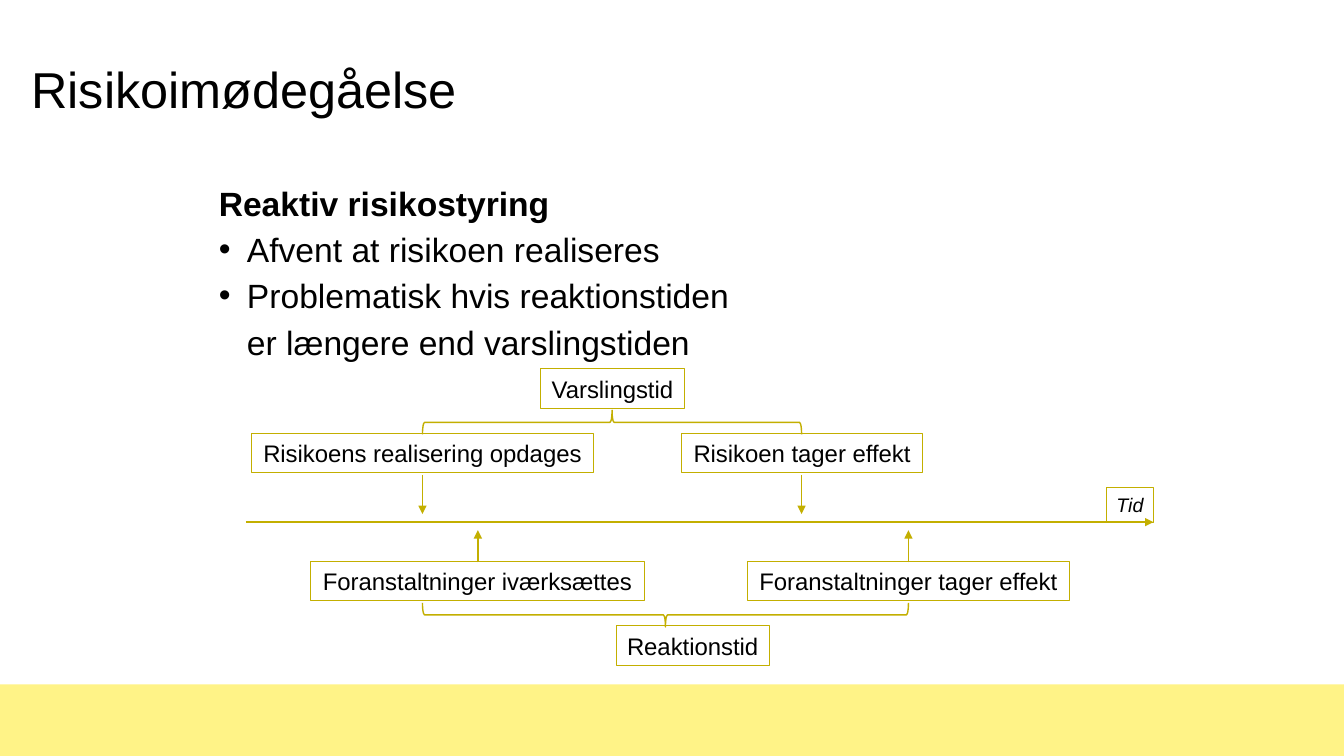
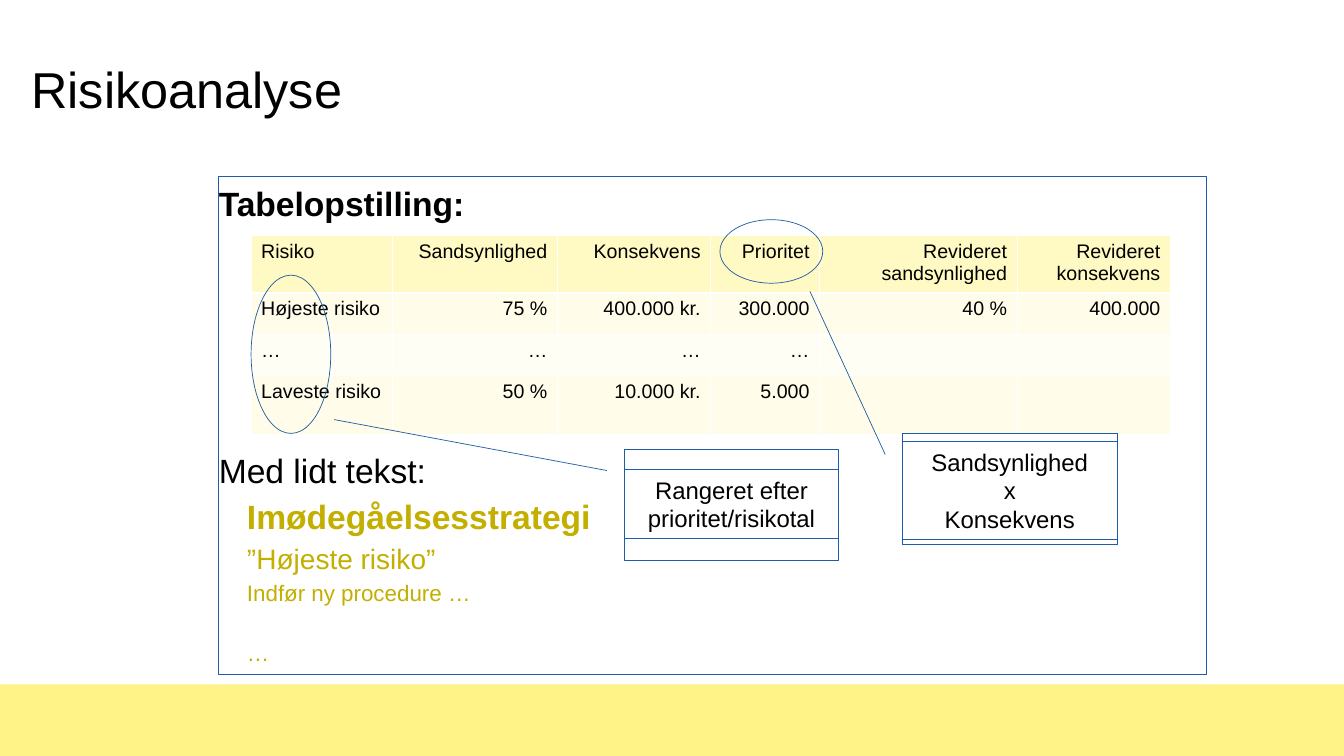
import lxml.etree
import pptx
import pptx.dml.color
import pptx.enum.shapes
import pptx.enum.text
import pptx.oxml.ns
import pptx.util

Inches = pptx.util.Inches
Pt = pptx.util.Pt
RGBColor = pptx.dml.color.RGBColor
SHAPE = pptx.enum.shapes.MSO_SHAPE
ALIGN = pptx.enum.text.PP_ALIGN
ANCHOR = pptx.enum.text.MSO_ANCHOR
AUTO_SIZE = pptx.enum.text.MSO_AUTO_SIZE

BLACK = RGBColor(0x00, 0x00, 0x00)
BAND = RGBColor(0xFF, 0xF3, 0x87)
GOLD = RGBColor(0xC3, 0xAF, 0x00)
BLUE = RGBColor(0x1F, 0x5C, 0xA6)
HEADER = RGBColor(0xFF, 0xF9, 0xC3)
ODD_ROW = RGBColor(0xFF, 0xFD, 0xE9)
EVEN_ROW = RGBColor(0xFF, 0xFE, 0xF5)

FONT = "Arial"
LABEL_SIZE = 17.1
BODY_INDENT = Inches(0.28)
NO_MARGINS = dict.fromkeys(
    ("margin_left", "margin_top", "margin_right", "margin_bottom"), 0)


def apply_formats(target, formats):
    for name, value in formats.items():
        setattr(target, name, value)


def style_paragraph(para, size, color=BLACK, bold=False, italic=False, **formats):
    apply_formats(para, formats)
    for span in para.runs:
        apply_formats(span.font, {
            "name": FONT, "size": Pt(size), "bold": bold, "italic": italic})
        span.font.color.rgb = color


def draw_xml(parent, tag, **attributes):
    element = lxml.etree.SubElement(parent, pptx.oxml.ns.qn(tag))
    for name, value in attributes.items():
        element.set(name, value)


def add_page(deck, title):
    page = deck.slides.add_slide(deck.slide_layouts[5])
    band = page.shapes.add_shape(
        SHAPE.RECTANGLE, 0, Inches(6.79), deck.slide_width, Inches(0.71))
    band.shadow.inherit = False
    band.fill.solid()
    band.fill.fore_color.rgb = BAND
    band.line.fill.background()
    box = page.shapes.title
    apply_formats(box, {"left": Inches(0.31), "top": Inches(0.64),
                        "width": Inches(12.7), "height": Inches(0.9)})
    frame = box.text_frame
    frame.text = title
    apply_formats(frame, {"vertical_anchor": ANCHOR.TOP,
                          "auto_size": AUTO_SIZE.NONE, **NO_MARGINS})
    style_paragraph(frame.paragraphs[0], 36, alignment=ALIGN.LEFT, line_spacing=0.9)
    return page


def add_body(page, width, height, lines):
    box = page.shapes.add_textbox(
        Inches(2.17), Inches(1.75), Inches(width), Inches(height))
    frame = box.text_frame
    apply_formats(frame, {"word_wrap": True, **NO_MARGINS})
    frame.text = "\n".join(text for text, _ in lines)
    for para, (_, formats) in zip(frame.paragraphs, lines):
        style_paragraph(para, **{"size": 24, "line_spacing": 1.15, **formats})
    return box


def indent_paragraph(para, bullet=False):
    properties = para._p.get_or_add_pPr()
    properties.set("marL", str(BODY_INDENT))
    if bullet:
        properties.set("indent", str(-BODY_INDENT))
        draw_xml(properties, "a:buFont", typeface=FONT)
        draw_xml(properties, "a:buChar", char="•")


def add_outline(page, kind, place, color, weight):
    shape = page.shapes.add_shape(kind, *map(Inches, place))
    shape.shadow.inherit = False
    shape.fill.background()
    shape.line.color.rgb = color
    shape.line.width = Pt(weight)
    return shape


def add_label(page, text, place, color=GOLD, wrap=False, size=LABEL_SIZE,
              alignment=ALIGN.CENTER, italic=False):
    box = add_outline(page, SHAPE.RECTANGLE, place, color, 0.75)
    frame = box.text_frame
    frame.text = text
    apply_formats(frame, {"word_wrap": wrap,
                          "auto_size": AUTO_SIZE.SHAPE_TO_FIT_TEXT})
    for para in frame.paragraphs:
        style_paragraph(para, size, alignment=alignment, italic=italic)


def add_arrow(page, start, end, weight=1):
    arrow = page.shapes.add_connector(
        pptx.enum.shapes.MSO_CONNECTOR.STRAIGHT, *map(Inches, start + end))
    arrow.line.color.rgb = GOLD
    arrow.line.width = Pt(weight)
    draw_xml(arrow.line._get_or_add_ln(), "a:tailEnd", type="triangle")
    draw_xml(arrow._element.spPr, "a:effectLst")


def add_brace(page, left, right, middle, rotation):
    depth, span = 0.24, right - left
    place = ((left + right - depth) / 2, middle - span / 2, depth, span)
    brace = add_outline(page, SHAPE.LEFT_BRACE, place, GOLD, 1)
    brace.rotation = rotation


def add_callout(page, text, left, top, text_top, text_height, pointer):
    width = 2.13
    callout = add_outline(
        page, SHAPE.LINE_CALLOUT_1, (left, top, width, 1.1), BLUE, 0.5)
    for index, value in enumerate((0.19, -0.08, *pointer)):
        callout.adjustments[index] = value
    add_label(page, text, (left, text_top, width, text_height), BLUE, wrap=True)


def add_risk_table(page, rows, widths, heights):
    frame = page.shapes.add_table(
        len(rows), len(widths), Inches(2.49), Inches(2.34),
        Inches(sum(widths)), Inches(sum(heights)))
    table = frame.table
    for column, width in zip(table.columns, widths):
        column.width = Inches(width)
    for row, height in zip(table.rows, heights):
        row.height = Inches(height)
    fills = (HEADER, ODD_ROW, EVEN_ROW, ODD_ROW)
    for row_index, (texts, fill) in enumerate(zip(rows, fills)):
        for column_index, text in enumerate(texts):
            cell = table.cell(row_index, column_index)
            cell.fill.solid()
            cell.fill.fore_color.rgb = fill
            cell.text = text
            alignment = ALIGN.RIGHT if column_index else ALIGN.LEFT
            style_paragraph(cell.text_frame.paragraphs[0], 14, alignment=alignment)


def build_response_page(deck):
    page = add_page(deck, "Risikoimødegåelse")
    body = add_body(page, 9, 2.08, [
        ("Reaktiv risikostyring", {"bold": True}),
        ("Afvent at risikoen realiseres", {}),
        ("Problematisk hvis reaktionstiden \ver længere end varslingstiden", {}),
    ])
    for para in body.text_frame.paragraphs[1:]:
        indent_paragraph(para, bullet=True)

    axis = 5.18
    add_arrow(page, (2.44, axis), (11.44, axis), 1.5)
    for text, left, top, width in (
        ("Risikoens realisering opdages", 2.49, 4.3, 3.4),
        ("Foranstaltninger iværksættes", 3.08, 5.57, 3.31),
        ("Risikoen tager effekt", 6.76, 4.3, 2.39),
        ("Foranstaltninger tager effekt", 7.41, 5.57, 3.2),
        ("Reaktionstid", 6.11, 6.21, 1.52),
        ("Varslingstid", 5.36, 3.66, 1.43),
    ):
        add_label(page, text, (left, top, width, 0.39))
    for x in (4.19, 7.95):
        add_arrow(page, (x, 4.71), (x, axis - 0.08))
    for x in (4.74, 9.01):
        add_arrow(page, (x, 5.58), (x, axis + 0.08))
    add_brace(page, 4.19, 7.95, 4.19, 90)
    add_brace(page, 4.19, 9.01, 6.1, 270)
    add_label(page, "Tid", (10.97, 4.84, 0.47, 0.34), size=14,
              alignment=ALIGN.RIGHT, italic=True)


def build_analysis_page(deck):
    page = add_page(deck, "Risikoanalyse")
    body = add_body(page, 9.8, 4.94, [
        ("Tabelopstilling:", {"bold": True}),
        ("Med lidt tekst:", {"space_before": Pt(158)}),
        ("Imødegåelsesstrategi", {"color": GOLD, "bold": True}),
        ("”Højeste risiko”", {"color": GOLD, "size": 20}),
        ("Indfør ny procedure …", {"color": GOLD, "size": 16}),
        ("…", {"color": GOLD, "size": 16, "space_before": Pt(21)}),
    ])
    body.line.color.rgb = BLUE
    body.line.width = Pt(0.75)
    for para in body.text_frame.paragraphs[2:]:
        indent_paragraph(para)

    add_risk_table(page, [
        ("Risiko", "Sandsynlighed", "Konsekvens", "Prioritet",
         "Revideret sandsynlighed", "Revideret konsekvens"),
        ("Højeste risiko", "75 %", "400.000 kr.", "300.000", "40 %", "400.000"),
        ("…", "…", "…", "…", "", ""),
        ("Laveste risiko", "50 %", "10.000 kr.", "5.000", "", ""),
    ], (1.4, 1.64, 1.52, 1.08, 1.96, 1.52), (0.56, 0.41, 0.41, 0.58))

    for place in ((2.49, 2.73, 0.79, 1.57), (7.14, 2.18, 1.02, 0.63)):
        add_outline(page, SHAPE.OVAL, place, BLUE, 0.5)
    add_callout(page, "Rangeret efter prioritet/risikotal",
                6.19, 4.46, 4.66, 0.68, (-0.27, -1.35))
    add_callout(page, "Sandsynlighed\nx\nKonsekvens",
                8.95, 4.3, 4.38, 0.97, (-1.28, -0.43))


def main():
    deck = pptx.Presentation()
    deck.slide_width = Inches(13.33)
    deck.slide_height = Inches(7.5)
    build_response_page(deck)
    build_analysis_page(deck)
    deck.save("out.pptx")


main()
